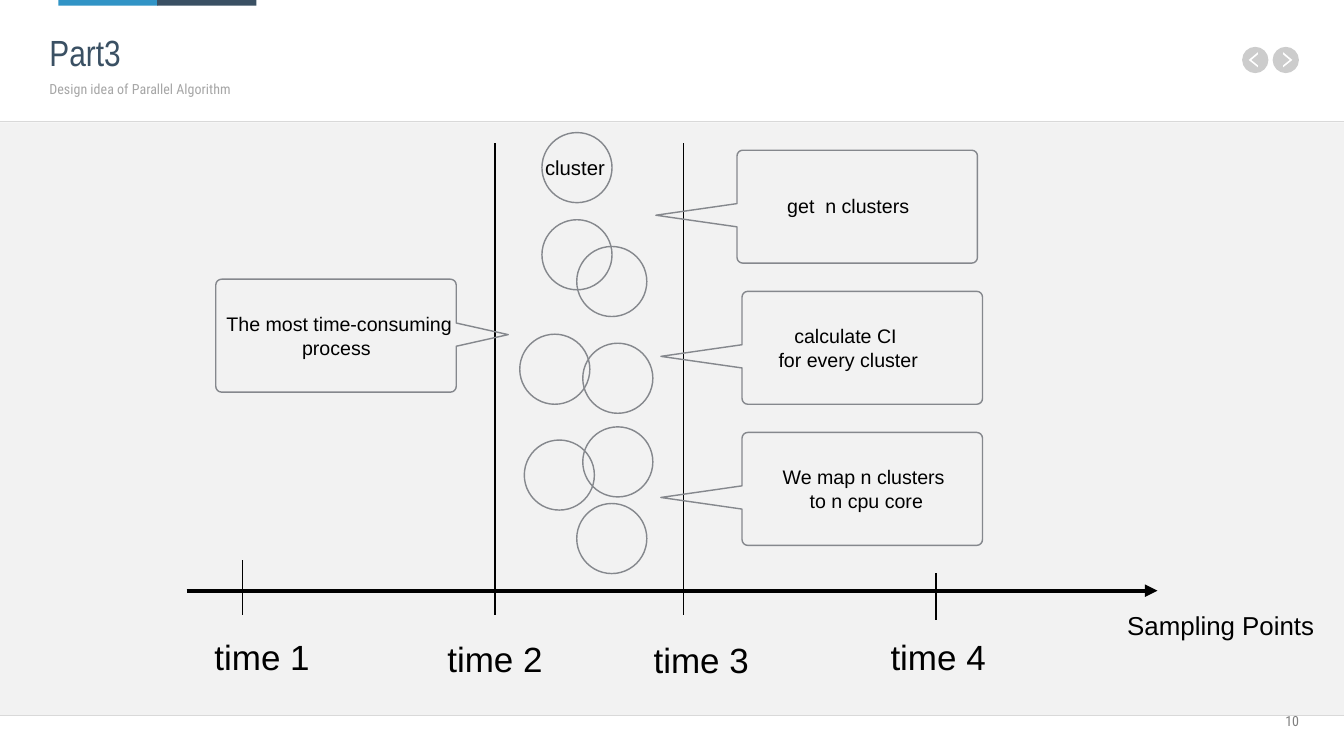
"""Builds the slide on the design idea of a parallel algorithm."""
import pptx
import pptx.util
import pptx.dml.color
import pptx.enum.shapes
import pptx.enum.text
import pptx.oxml
import pptx.oxml.ns

Pt = pptx.util.Pt
SHAPE = pptx.enum.shapes.MSO_SHAPE
ALIGN = pptx.enum.text.PP_ALIGN
ANCHOR = pptx.enum.text.MSO_ANCHOR

WIDE, HIGH = 1919.52, 1080
COLOR = {
    "page": "F2F2F2", "white": "FFFFFF", "rule": "D9D9D9", "blue": "3194C6",
    "navy": "3A5063", "sub": "A6A6A6", "num": "808080", "ink": "000000",
    "edge": "85888D",
}
RECTS = [
    (0, 0, WIDE, 175, "white"),
    (0, 1021.7, WIDE, 58.3, "white"),
    (83.5, 0, 141.8, 7.9, "blue"),
    (224.6, 0, 141.8, 7.9, "navy"),
]
RULES = [173.5, 1021.7]
BUTTONS = [(1836.4, 1), (1792.8, -1)]
BUTTON_Y, BUTTON_R = 85.7, 18.8
CHEVRON = [(-4, -11.5), (-4, -7.9), (5.4, 0), (-4, 7.6), (-4, 11), (9.7, 0)]
AXIS = (266.4, 1653.1, 843.8)
TIMES = [
    ("time 1", 346.3, 878.4, 800.6, 296.6, 904.3),
    ("time 2", 707, 878.4, 203.8, 629.3, 907.2),
    ("time 3", 976.3, 878.4, 203.8, 923.8, 908.6),
    ("time 4", 1337, 885.6, 817.9, 1262.2, 904.3),
]
CALLOUTS = [
    (308.2, 398.9, (417.6, 79.2), ["The most time-consuming", "process "], (308.2, 441.8, 352.1, 75.6)),
    (1059.8, 617.8, (-115.9, 92.9), ["We map n clusters ", "to n cpu core"], (1108.8, 660.6, 257, 75.6)),
    (1059.8, 416.2, (-115.9, 92.9), ["calculate CI ", "for every cluster"], (1100.9, 459, 221, 75.6)),
    (1052.6, 214.6, (-115.9, 92.9), ["get  n clusters"], (1115.3, 272.9, 192.2, 41.8)),
]
BODY_W, BODY_H, ROUND, BASE = 343.4, 161.3, 8.2, 16.6
CIRCLES = [
    (774, 189.4), (774, 313.9), (823.7, 352.1), (742.3, 477.4),
    (832.3, 490.3), (748.8, 628.6), (832.3, 609.8), (823.7, 719.3),
]
CIRCLE = 100.1
BEND = 0.55


def rgb(name):
    return pptx.dml.color.RGBColor.from_string(COLOR[name])


def node(tag, extra=""):
    return pptx.oxml.parse_xml("<a:%s %s %s/>" % (tag, pptx.oxml.ns.nsdecls("a"), extra))


def style(shape, fill=None, line=None):
    shape.shadow.inherit = False
    if fill:
        shape.fill.solid()
        shape.fill.fore_color.rgb = rgb(fill)
    else:
        shape.fill.background()
    if line:
        shape.line.color.rgb = rgb(line)
        shape.line.width = Pt(2)
    else:
        shape.line.fill.background()


def add_preset(slide, kind, x, y, w, h, **look):
    style(slide.shapes.add_shape(kind, Pt(x), Pt(y), Pt(w), Pt(h)), **look)


def add_line(slide, x1, y1, x2, y2, color="ink", width=2):
    line = slide.shapes.add_connector(
        pptx.enum.shapes.MSO_CONNECTOR.STRAIGHT, Pt(x1), Pt(y1), Pt(x2), Pt(y2))
    line.line.color.rgb = rgb(color)
    line.line.width = Pt(width)
    line._element.spPr.append(node("effectLst"))
    return line


def add_text(slide, lines, box, size, font="Arial", color="ink", align=ALIGN.CENTER,
             anchor=ANCHOR.MIDDLE, inset=4.3, wrap=False, before=0):
    frame = slide.shapes.add_textbox(*map(Pt, box)).text_frame
    frame.word_wrap = wrap
    frame.vertical_anchor = anchor
    frame.margin_left = frame.margin_right = Pt(inset)
    frame.margin_top = frame.margin_bottom = Pt(inset)
    frame.text = "\n".join(lines)
    for para in frame.paragraphs:
        para.alignment = align
        para.space_before = Pt(before)
        for run in para.runs:
            run.font.size = Pt(size)
            run.font.name = font
            run.font.color.rgb = rgb(color)


def bend(start, corner, end):
    pull = [tuple(p + (c - p) * BEND for p, c in zip(point, corner)) for point in (start, end)]
    return [*pull, end]


def add_outline(slide, *paths):
    """Draws paths of one-point lines and three-point curves."""
    pen = None
    for start, *parts in paths:
        first = [Pt(v) for v in start[0]]
        if pen:
            pen.move_to(*first)
        else:
            pen = slide.shapes.build_freeform(*first)
        pen.add_line_segments([(Pt(x), Pt(y)) for part in parts for x, y in part], close=True)
    shape = pen.convert_to_shape()
    steps = iter(list(shape._element.iter(pptx.oxml.ns.qn("a:lnTo"))))
    for part in [part for path in paths for part in path[1:]]:
        group = [next(steps) for point in part]
        if len(group) == 3:
            curve = node("cubicBezTo")
            group[0].addprevious(curve)
            for step in group:
                curve.append(step[0])
                step.getparent().remove(step)
    return shape


def add_button(slide, x, side):
    y, r = BUTTON_Y, BUTTON_R
    arrow = [[(x + side * dx, y + dy)] for dx, dy in CHEVRON]
    ends = [(x, y - r), (x + r, y), (x, y + r), (x - r, y)]
    corners = [(x + r, y - r), (x + r, y + r), (x - r, y + r), (x - r, y - r)]
    ring = [[ends[0]]] + [bend(ends[i], corners[i], ends[(i + 1) % 4]) for i in range(4)]
    shape = add_outline(slide, arrow, ring)
    style(shape, fill="ink")
    tint = shape._element.spPr.find(".//" + pptx.oxml.ns.qn("a:srgbClr"))
    tint.append(node("alpha", 'val="20000"'))


def add_callout(slide, x, y, tip):
    r, right, low = ROUND, x + BODY_W, y + BODY_H
    turns = [
        ((right - r, y), (right, y), (right, y + r)),
        ((right, low - r), (right, low), (right - r, low)),
        ((x + r, low), (x, low), (x, low - r)),
        ((x, y + r), (x, y), (x + r, y)),
    ]
    sides = [[[turn[0]], bend(*turn)] for turn in turns]
    dx, dy = tip
    way, edge, spot = (1, right, 1) if dx > 0 else (-1, x, 3)
    tail = [(edge, y + dy - way * BASE), (x + dx, y + dy), (edge, y + dy + way * BASE)]
    sides.insert(spot, [[point] for point in tail])
    style(add_outline(slide, [[(x + r, y)]] + sum(sides, [])), line="edge")


def main():
    deck = pptx.Presentation()
    deck.slide_width, deck.slide_height = Pt(WIDE), Pt(HIGH)
    slide = deck.slides.add_slide(deck.slide_layouts[6])
    slide.background.fill.solid()
    slide.background.fill.fore_color.rgb = rgb("page")

    for x, y, w, h, fill in RECTS:
        add_preset(slide, SHAPE.RECTANGLE, x, y, w, h, fill=fill)
    for y in RULES:
        add_line(slide, 0, y, WIDE, y, "rule", 0.25)
    for x, side in BUTTONS:
        add_button(slide, x, side)

    head = dict(align=ALIGN.LEFT, anchor=ANCHOR.TOP, inset=9.4, wrap=True)
    add_text(slide, ["Part3"], (61.2, 33.1, 1245.6, 90), 52, "Arial Narrow", "navy", **head)
    add_text(slide, ["Design idea of Parallel Algorithm"], (61.2, 105.1, 1241.3, 49),
             20, "Roboto Condensed", "sub", before=5, **head)

    start, end, level = AXIS
    axis = add_line(slide, start, level, end, level, width=6)
    axis.line._get_or_add_ln().append(node("tailEnd", 'type="triangle"'))
    add_text(slide, ["Sampling Points"], (1599.1, 866.2, 288.7, 52.6), 37)
    for label, x, low, top, left, y in TIMES:
        add_line(slide, x, low, x, top)
        add_text(slide, [label], (left, y, 155.5, 67.7), 50)

    for x, y, tip, lines, box in CALLOUTS:
        add_callout(slide, x, y, tip)
        add_text(slide, lines, box, 28)
    for x, y in CIRCLES:
        add_preset(slide, SHAPE.OVAL, x, y, CIRCLE, CIRCLE, line="edge")
    add_text(slide, ["cluster"], (771.1, 218.2, CIRCLE, 42.5), 29)
    add_text(slide, ["10"], (1776.2, 1017.4, 79.2, 25.9), 20, "Roboto Condensed", "num",
             align=ALIGN.RIGHT, inset=0, wrap=True)
    deck.save("out.pptx")


if __name__ == "__main__":
    main()
